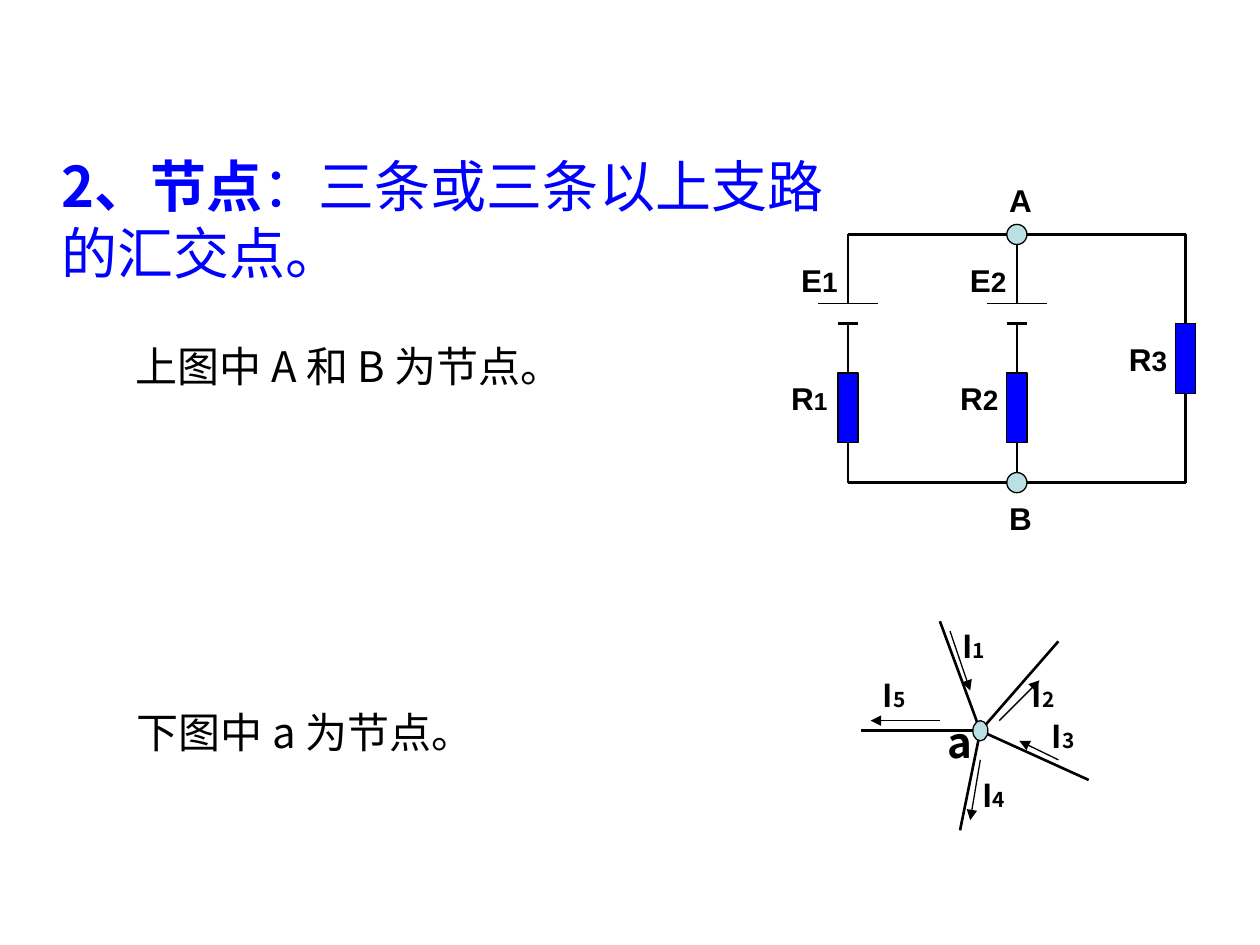
from dataclasses import dataclass

import pptx
import pptx.dml.color
import pptx.enum.shapes
import pptx.enum.text
import pptx.oxml.ns
import pptx.util
from lxml import etree

Pt = pptx.util.Pt
qn = pptx.oxml.ns.qn
SHAPES = pptx.enum.shapes.MSO_SHAPE

COLORS = {"ink": "000000", "heading": "0000FF", "resistor": "0000FF", "node": "BBE0E3"}
CJK = "Noto Sans CJK SC"

TOP, BOTTOM = 134, 275.8
BRANCH_X = [484.6, 581.1, 677.6]
RESISTOR_W, RESISTOR_H = 11.5, 39.7
PLATE_LONG_Y, PLATE_SHORT_Y = 173.5, 185
HUB = (560.2, 417.6)


@dataclass
class Branch:
    number: str
    x: float
    resistor_top: float
    label_top: float
    digit_size: float
    has_source: bool


@dataclass
class Current:
    number: str
    wire_end: tuple[float, float]
    arrow_start: tuple[float, float]
    arrow_end: tuple[float, float]
    label: tuple[float, float]


BRANCHES = [
    Branch("1", BRANCH_X[0], 213.1, 213.1, 14, True),
    Branch("2", BRANCH_X[1], 213.1, 213.1, 16, True),
    Branch("3", BRANCH_X[2], 185, 190.8, 16, False),
]
CURRENTS = [
    Current("1", (537.1, 355), (542.9, 360.7), (554.4, 394.6), (542.9, 355)),
    Current("2", (604.8, 366.5), (571, 411.8), (594, 388.8), (582.5, 383)),
    Current("3", (622.1, 445.7), (604.8, 434.2), (582.5, 423.4), (594, 406.1)),
    Current("4", (548.6, 474.5), (560.2, 434.2), (554.4, 468.7), (554.4, 439.9)),
    Current("5", (491.8, 417.6), (537.1, 411.8), (497.5, 411.8), (497.5, 383)),
]


def rgb(name: str) -> pptx.dml.color.RGBColor:
    return pptx.dml.color.RGBColor.from_string(COLORS[name])


def add_span(para, text: str, *, size: float, font: str = CJK,
             color: str = "ink", bold: bool = False) -> None:
    """Add a run whose Latin and East Asian text share one font."""
    span = para.add_run()
    span.text = text
    span.font.size = Pt(size)
    span.font.bold = bold
    span.font.color.rgb = rgb(color)
    span.font.name = font
    latin = span.font._element.find(qn("a:latin"))
    east_asian = etree.Element(qn("a:ea"), typeface=font)
    latin.addnext(east_asian)


def format_frame(box):
    """Make the box a left-aligned, wrapping one and return its paragraph."""
    frame = box.text_frame
    frame.word_wrap = True
    frame.auto_size = pptx.enum.text.MSO_AUTO_SIZE.SHAPE_TO_FIT_TEXT
    frame.vertical_anchor = pptx.enum.text.MSO_ANCHOR.TOP
    para = frame.paragraphs[0]
    para.alignment = pptx.enum.text.PP_ALIGN.LEFT
    return para


def add_text(page, text: str, left: float, top: float, width: float, height: float,
             *, subscript: str = "", subscript_size: float = 12, **style) -> None:
    box = page.shapes.add_textbox(Pt(left), Pt(top), Pt(width), Pt(height))
    para = format_frame(box)
    add_span(para, text, **style)
    if subscript:
        add_span(para, subscript, **{**style, "size": subscript_size})


def add_line(page, start: tuple[float, float], end: tuple[float, float],
             weight: float = 1.5, arrow: bool = False) -> None:
    line = page.shapes.add_connector(pptx.enum.shapes.MSO_CONNECTOR.STRAIGHT,
                                     Pt(start[0]), Pt(start[1]), Pt(end[0]), Pt(end[1]))
    line.line.color.rgb = rgb("ink")
    line.line.width = Pt(weight)
    if arrow:
        etree.SubElement(line.line._get_or_add_ln(), qn("a:tailEnd"), type="triangle")
    etree.SubElement(line._element.spPr, qn("a:effectLst"))


def add_solid(page, kind, center_x: float, top: float, width: float, height: float,
              fill: str) -> None:
    shape = page.shapes.add_shape(kind, Pt(center_x - width / 2), Pt(top),
                                  Pt(width), Pt(height))
    shape.shadow.inherit = False
    shape.fill.solid()
    shape.fill.fore_color.rgb = rgb(fill)
    shape.line.color.rgb = rgb("ink")
    shape.line.width = Pt(0.75)


def add_node(page, x: float, y: float, width: float = 11.5) -> None:
    add_solid(page, SHAPES.OVAL, x, y - 5.75, width, 11.5, "node")


def add_branch(page, branch: Branch) -> None:
    x = branch.x
    label = dict(size=18, font="Arial", bold=True, subscript=branch.number)
    wire_top = TOP
    if branch.has_source:
        add_line(page, (x, TOP), (x, PLATE_LONG_Y))
        add_line(page, (x - 17, PLATE_LONG_Y), (x + 17, PLATE_LONG_Y), weight=1)
        add_line(page, (x - 5.75, PLATE_SHORT_Y), (x + 5.75, PLATE_SHORT_Y))
        add_text(page, "E", x - 33.9, 145.4, 62.6, 28.8, subscript_size=16, **label)
        wire_top = PLATE_SHORT_Y
    add_line(page, (x, wire_top), (x, branch.resistor_top))
    add_line(page, (x, branch.resistor_top + RESISTOR_H), (x, BOTTOM))
    add_solid(page, SHAPES.RECTANGLE, x, branch.resistor_top, RESISTOR_W, RESISTOR_H,
              "resistor")
    add_text(page, "R", x - 39.6, branch.label_top, 51, 28.8,
             subscript_size=branch.digit_size, **label)


def add_circuit(page) -> None:
    for branch in BRANCHES:
        add_branch(page, branch)
    for name, y, label_top in (("A", TOP, 100.1), ("B", BOTTOM, 281.5)):
        add_line(page, (BRANCH_X[0], y), (BRANCH_X[-1], y))
        add_node(page, BRANCH_X[1], y)
        add_text(page, name, BRANCH_X[1] - 11.5, label_top, 51, 28.8,
                 size=18, font="Arial", bold=True)


def add_star(page) -> None:
    for current in CURRENTS:
        add_line(page, HUB, current.wire_end)
        add_line(page, current.arrow_start, current.arrow_end, weight=0.75, arrow=True)
        add_text(page, "I", *current.label, 33.8, 28.8, size=18, bold=True,
                 subscript=current.number)
    add_node(page, *HUB, width=8.6)
    add_text(page, "a", 534.2, 406.1, 20.9, 36, size=24, bold=True)


def add_heading(page) -> None:
    title = page.shapes.title
    title.left, title.top, title.width, title.height = Pt(28), Pt(82.8), Pt(459.4), Pt(45.4)
    para = format_frame(title)
    add_span(para, "2、节点", size=32, color="heading", bold=True)
    add_span(para, "：三条或三条以上支路的汇交点。", size=32, color="heading")


def main() -> None:
    deck = pptx.Presentation()
    deck.slide_width, deck.slide_height = Pt(720), Pt(540)
    page = deck.slides.add_slide(deck.slide_layouts.get_by_name("Title Only"))
    add_heading(page)
    add_circuit(page)
    add_star(page)
    add_text(page, "上图中 A 和 B 为节点。", 70.6, 190.8, 300, 36, size=24)
    add_text(page, "下图中 a 为节点。", 71, 400.3, 201, 36, size=24)
    deck.save("out.pptx")


if __name__ == "__main__":
    main()
